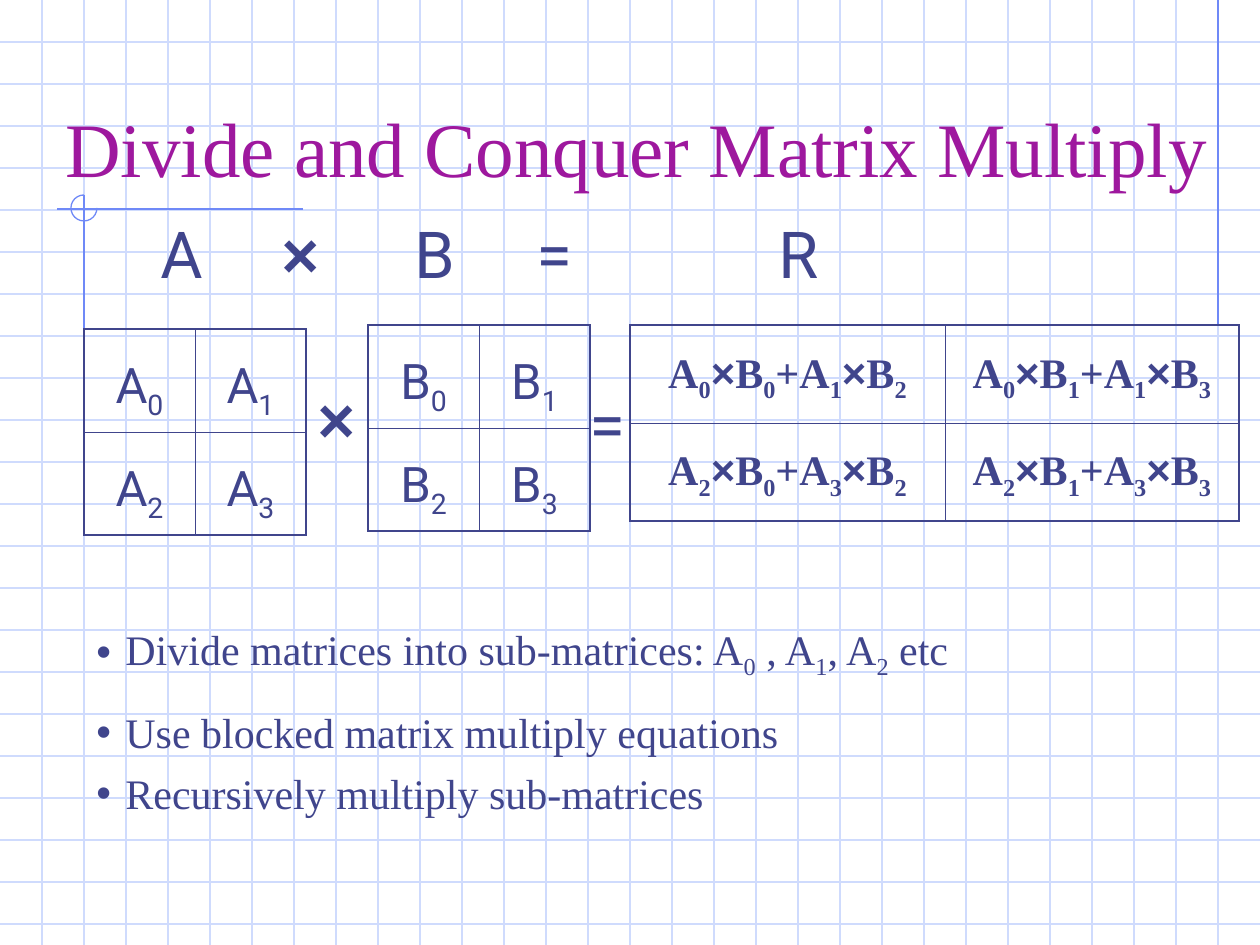
from itertools import groupby

from lxml import etree
from pptx import Presentation, util as u
from pptx.dml.color import RGBColor
from pptx.enum import shapes, text
from pptx.oxml import ns

WIDTH, HEIGHT, GRID = 1260, 945, 42
PX = 914400 // 126  # EMU in one px
PALE = RGBColor(0xCF, 0xDB, 0xFD)
BLUE = RGBColor(0x6F, 0x89, 0xF7)
INK = RGBColor(0x40, 0x45, 0x8C)
PURPLE = RGBColor(0x9E, 0x18, 0x9E)
SERIF, SANS, SYMBOL = "Times New Roman", "Roboto", "Arial"

# Content: every digit is a subscript
TITLE = "Divide and Conquer Matrix Multiply"
HEADING = [("A", 64), ("×", 185), ("B", 318), ("=", 440), ("R", 682)]  # text, tab stop
MATRICES = [
    dict(left=84, top=329, cols=(111, 111), row=103, size=28, font=SANS, bold=False,
         before=12.2, cells=[("A0", "A1"), ("A2", "A3")]),
    dict(left=368, top=325, cols=(111, 111), row=103, size=28, font=SANS, bold=False,
         before=12.2, cells=[("B0", "B1"), ("B2", "B3")]),
    dict(left=630, top=325, cols=(315, 294), row=98, size=24, font=SERIF, bold=True,
         before=10.5, cells=[("A0×B0+A1×B2", "A0×B1+A1×B3"),
                             ("A2×B0+A3×B2", "A2×B1+A3×B3")]),
]
OPERATORS = [("×", 305, 397, 0.65), ("=", 577, 399, 0.7)]  # text, left, top, line spacing
BULLETS = [("Divide matrices into sub-matrices: A0 , A1, A2 etc", 0),
           ("Use blocked matrix multiply equations", 15),
           ("Recursively multiply sub-matrices", 6)]  # text, space before
FRAME = [(1218, 0, 1218, 325), (303, 209, 57, 209), (84, 195, 84, 515)]


def add_element(parent, tag, **attributes):
    return etree.SubElement(parent, ns.qn(tag), attributes)


def add_line(page, ends, color):
    line = page.shapes.add_connector(shapes.MSO_CONNECTOR.STRAIGHT, *(v * PX for v in ends))
    line.line.color.rgb = color
    line.line.width = u.Pt(0.75)
    add_element(line.element.spPr, "a:effectLst")


def add_box(page, left, top, width, height):
    box = page.shapes.add_textbox(*(v * PX for v in (left, top, width, height)))
    box.text_frame.word_wrap = True
    return box.text_frame


def char_kind(char):
    return "sub" if char.isdigit() else "times" if char == "×" else "plain"


def write(para, content, size, font, color=INK, bold=False, times_bold=True):
    for kind, chars in groupby(content, char_kind):
        span = para.add_run()
        span.text = "".join(chars)
        span.font.size = u.Pt(size)
        span.font.name = SYMBOL if kind == "times" else font
        span.font.bold = times_bold if kind == "times" else bold
        span.font.color.rgb = color
        if kind == "sub":
            span.font._element.set("baseline", "-25000")


def set_border(cell, side, points):
    border = add_element(cell._tc.get_or_add_tcPr(), "a:ln" + side, w=str(u.Pt(points)))
    fill = add_element(border, "a:solidFill")
    add_element(fill, "a:srgbClr", val=str(INK))


def add_matrix(page, matrix):
    cols, row = matrix["cols"], matrix["row"]
    table = page.shapes.add_table(2, 2, *(v * PX for v in (
        matrix["left"], matrix["top"], sum(cols), 2 * row))).table
    table.first_row = table.horz_banding = False
    for i, cells in enumerate(matrix["cells"]):
        table.rows[i].height = row * PX
        for j, content in enumerate(cells):
            table.columns[j].width = cols[j] * PX
            cell = table.cell(i, j)
            outer = {"L": j == 0, "R": j == 1, "T": i == 0, "B": i == 1}
            for side, is_outer in outer.items():
                set_border(cell, side, 1.08 if is_outer else 0.45)
            cell.fill.background()
            para = cell.text_frame.paragraphs[0]
            para.alignment = text.PP_ALIGN.CENTER
            para.line_spacing = 1.35
            para.space_before = u.Pt(matrix["before"])
            write(para, content, matrix["size"], matrix["font"], bold=matrix["bold"])


def main():
    deck = Presentation()
    deck.slide_width, deck.slide_height = WIDTH * PX, HEIGHT * PX
    page = deck.slides.add_slide(deck.slide_layouts[6])

    # Graph paper
    for y in range(GRID, HEIGHT, GRID):
        add_line(page, (0, y, WIDTH, y), PALE)
    for x in range(GRID, WIDTH, GRID):
        add_line(page, (x, 0, x, HEIGHT), PALE)

    # Frame lines and the open circle at their crossing
    for ends in FRAME:
        add_line(page, ends, BLUE)
    arc = page.shapes.add_shape(shapes.MSO_SHAPE.ARC, *(v * PX for v in (71, 195, 26, 26)))
    arc.adjustments[0], arc.adjustments[1] = 0, 162  # 0 to 270 degrees
    arc.shadow.inherit = False
    arc.fill.background()
    arc.line.color.rgb = BLUE
    arc.line.width = u.Pt(0.75)

    # Title
    frame = add_box(page, 53, 42, 1207, 157)
    frame.vertical_anchor = text.MSO_ANCHOR.BOTTOM
    write(frame.paragraphs[0], TITLE, 44, SERIF, PURPLE)

    # Heading over the matrices, spaced by tab stops
    para = add_box(page, 84, 223, 1113, 76).paragraphs[0]
    para.line_spacing = 0.8
    stops = add_element(para._p.get_or_add_pPr(), "a:tabLst")
    for symbol, stop in HEADING:
        add_element(stops, "a:tab", pos=str(stop * PX), algn="l")
        write(para, "\t" + symbol, 37, SANS)

    # Matrices and the operators between them
    for matrix in MATRICES:
        add_matrix(page, matrix)
    for symbol, left, top, spacing in OPERATORS:
        para = add_box(page, left, top, 60, 65).paragraphs[0]
        para.line_spacing = spacing
        write(para, symbol, 37, SANS)

    # Bullets
    frame = add_box(page, 84, 617, 1155, 280)
    for i, (content, before) in enumerate(BULLETS):
        para = frame.paragraphs[0] if i == 0 else frame.add_paragraph()
        para.space_before = u.Pt(before)
        props = para._p.get_or_add_pPr()
        props.set("marL", str(29 * PX))
        props.set("indent", str(-29 * PX))
        color = add_element(props, "a:buClr")
        add_element(color, "a:srgbClr", val=str(INK))
        add_element(props, "a:buFont", typeface=SYMBOL)
        add_element(props, "a:buChar", char="•")
        write(para, content, 24, SERIF)

    deck.save("out.pptx")


if __name__ == "__main__":
    main()
